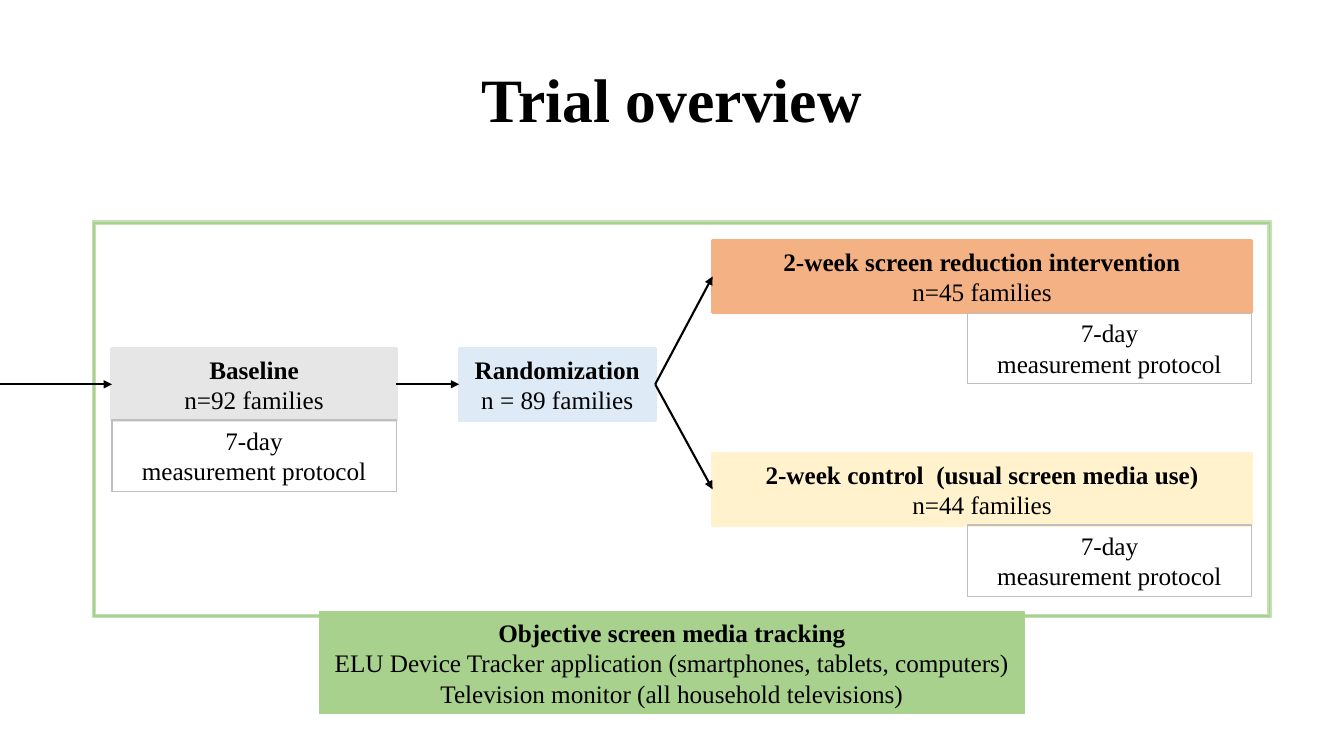
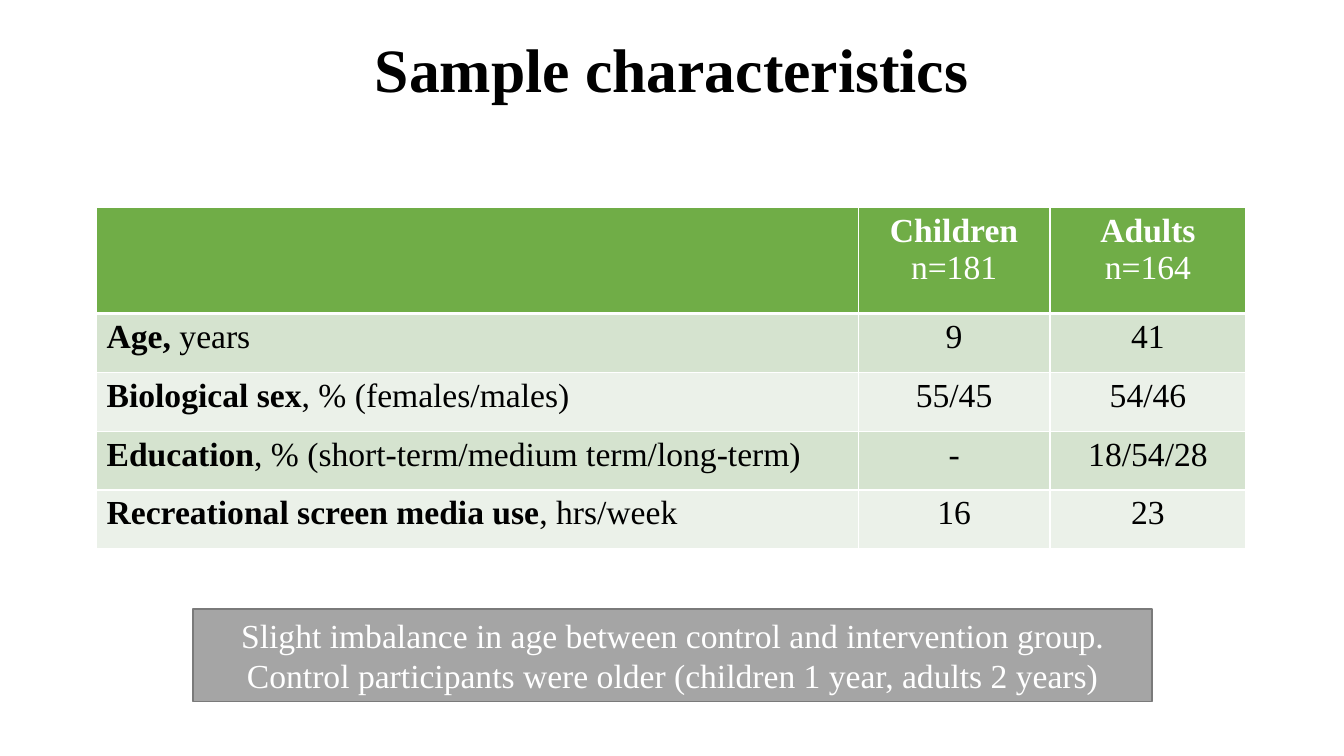
from dataclasses import dataclass

from lxml.etree import SubElement
from pptx import Presentation
from pptx.dml.color import RGBColor
from pptx.enum.shapes import MSO_CONNECTOR as Connector, MSO_SHAPE as Shape
from pptx.enum.text import MSO_ANCHOR as Anchor, PP_ALIGN as Align
from pptx.oxml import parse_xml
from pptx.oxml.ns import nsdecls, qn
from pptx.util import Pt


@dataclass(frozen=True)
class Theme:
    font: str = "Times New Roman"
    title_size: int = 44
    table_size: int = 24
    box_size: int = 18
    black: str = "000000"
    white: str = "FFFFFF"
    baseline: str = "E7E6E6"
    randomization: str = "DEEBF7"
    intervention: str = "F4B183"
    control: str = "FFF2CC"
    tracking: str = "A9D18E"
    frame_line: str = "C5E0B4"
    protocol_line: str = "BFBFBF"
    note: str = "A5A5A5"
    note_line: str = "7A7A7A"
    header: str = "70AD47"
    bands: tuple = ("D5E3CF", "EBF1E9")


T = Theme()
LEFT, RIGHT = 1, 3
BOX_H = 51
PROTOCOL_W = 203


def rgb(value):
    return RGBColor.from_string(value)


def write(tf, lines, size, color=T.black, align=Align.CENTER):
    """Each line is a pair: its bold part, then its plain part."""
    for i, (bold, plain) in enumerate(lines):
        p = tf.add_paragraph() if i else tf.paragraphs[0]
        p.alignment = align
        p.font.name = T.font
        p.font.size = Pt(size)
        p.font.color.rgb = rgb(color)
        if bold and plain:
            for text, weight in ((bold, True), (plain, False)):
                r = p.add_run()
                r.text = text
                r.font.bold = weight
        else:
            p.font.bold = bool(bold)
            p.add_run().text = bold or plain


def add_title(s, text, top):
    tf = s.shapes.add_textbox(Pt(66), Pt(top), Pt(828), Pt(104)).text_frame
    tf.word_wrap = True
    tf.vertical_anchor = Anchor.MIDDLE
    write(tf, [(text, "")], T.title_size)
    tf.paragraphs[0].line_spacing = 0.9


def add_box(s, x, y, w, h, lines=(), fill=None, line=None, line_w=2.25,
            size=T.box_size, color=T.black, kind=Shape.RECTANGLE):
    sp = s.shapes.add_shape(kind, Pt(x), Pt(y), Pt(w), Pt(h))
    sp.shadow.inherit = False
    if fill:
        sp.fill.solid()
        sp.fill.fore_color.rgb = rgb(fill)
    else:
        sp.fill.background()
    sp.line.color.rgb = rgb(line or fill)
    sp.line.width = Pt(line_w)
    sp.text_frame.vertical_anchor = Anchor.MIDDLE
    write(sp.text_frame, lines, size, color)
    return sp


def add_protocol(s, x, y):
    add_box(s, x, y, PROTOCOL_W, BOX_H,
            [("", "7-day"), ("", "measurement protocol")],
            line=T.protocol_line, line_w=0.75)


def add_arrow(s, target, source=None):
    y = target.top + target.height // 2
    cxn = s.shapes.add_connector(Connector.STRAIGHT, 0, y, target.left, y)
    if source:
        cxn.begin_connect(source, RIGHT)
    cxn.end_connect(target, LEFT)
    cxn.line.color.rgb = rgb(T.black)
    cxn.line.width = Pt(1.5)
    SubElement(cxn.line._get_or_add_ln(), qn("a:tailEnd"), type="triangle")
    SubElement(cxn._element.spPr, qn("a:effectLst"))


def set_borders(cell, top, bottom):
    widths = {"lnL": 1, "lnR": 1, "lnT": top, "lnB": bottom}
    for i, (tag, width) in enumerate(widths.items()):
        cell._tc.get_or_add_tcPr().insert(i, parse_xml(
            f'<a:{tag} {nsdecls("a")} w="{Pt(width)}"><a:solidFill>'
            f'<a:srgbClr val="{T.white}"/></a:solidFill></a:{tag}>'))


def add_table(s, x, y, widths, heights, rows):
    table = s.shapes.add_table(len(rows), len(widths), Pt(x), Pt(y),
                               Pt(sum(widths)), Pt(sum(heights))).table
    table.first_row = table.horz_banding = False
    for column, width in zip(table.columns, widths):
        column.width = Pt(width)
    for i, (height, row) in enumerate(zip(heights, rows)):
        table.rows[i].height = Pt(height)
        for j, lines in enumerate(row):
            cell = table.cell(i, j)
            cell.fill.solid()
            cell.fill.fore_color.rgb = rgb(T.bands[(i - 1) % 2] if i else T.header)
            set_borders(cell, 3 if i == 1 else 1, 1 if i else 3)
            write(cell.text_frame, lines, T.table_size,
                  T.black if i else T.white, Align.CENTER if j else Align.LEFT)


def build_overview(s):
    add_title(s, "Trial overview", 21)
    frame = add_box(s, 66, 158, 842, 283, fill=T.tracking, line=T.frame_line,
                    line_w=1, kind=Shape.FRAME)
    frame.adjustments[0] = 0.008

    step_y, arm_x, arm_w = 249, 509, 385
    baseline = add_box(s, 80, step_y, PROTOCOL_W, BOX_H,
                       [("Baseline", ""), ("", "n=92 families")], T.baseline)
    randomization = add_box(s, 328, step_y, 140, BOX_H,
                            [("Randomization", ""), ("", "n = 89 families")],
                            T.randomization)
    add_protocol(s, 80, step_y + BOX_H)
    add_arrow(s, baseline)
    add_arrow(s, randomization, baseline)

    arms = [
        (172, "2-week screen reduction intervention", "n=45 families", T.intervention),
        (324, "2-week control  (usual screen media use)", "n=44 families", T.control),
    ]
    for y, name, count, fill in arms:
        arm = add_box(s, arm_x, y, arm_w, BOX_H, [(name, ""), ("", count)], fill)
        add_protocol(s, arm_x + arm_w - PROTOCOL_W, y + BOX_H)
        add_arrow(s, arm, randomization)

    add_box(s, 228, 437, 504, 73, [
        ("Objective screen media tracking", ""),
        ("", "ELU Device Tracker application (smartphones, tablets, computers)"),
        ("", "Television monitor (all household televisions)"),
    ], T.tracking, line_w=0.75)


def build_sample(s):
    add_title(s, "Sample characteristics", 0)
    measures = [
        ("Age, ", "years", "9", "41"),
        ("Biological sex", ", % (females/males)", "55/45", "54/46"),
        ("Education", ", % (short-term/medium term/long-term)", "-", "18/54/28"),
        ("Recreational screen media use", ", hrs/week", "16", "23"),
    ]
    header = [[], [("Children", ""), ("", "n=181")], [("Adults", ""), ("", "n=164")]]
    body = [[[(name, unit)], [("", children)], [("", adults)]]
            for name, unit, children, adults in measures]
    add_table(s, 69, 148, [544, 137, 140], [76] + [42] * len(body), [header] + body)
    add_box(s, 138, 435, 685, 66, [
        ("", "Slight imbalance in age between control and intervention group."),
        ("", "Control participants were older (children 1 year, adults 2 years)"),
    ], T.note, T.note_line, 1, T.table_size, T.white)


def main():
    prs = Presentation()
    prs.slide_width, prs.slide_height = Pt(960), Pt(540)
    for build in (build_overview, build_sample):
        build(prs.slides.add_slide(prs.slide_layouts[6]))
    prs.save("out.pptx")


if __name__ == "__main__":
    main()
